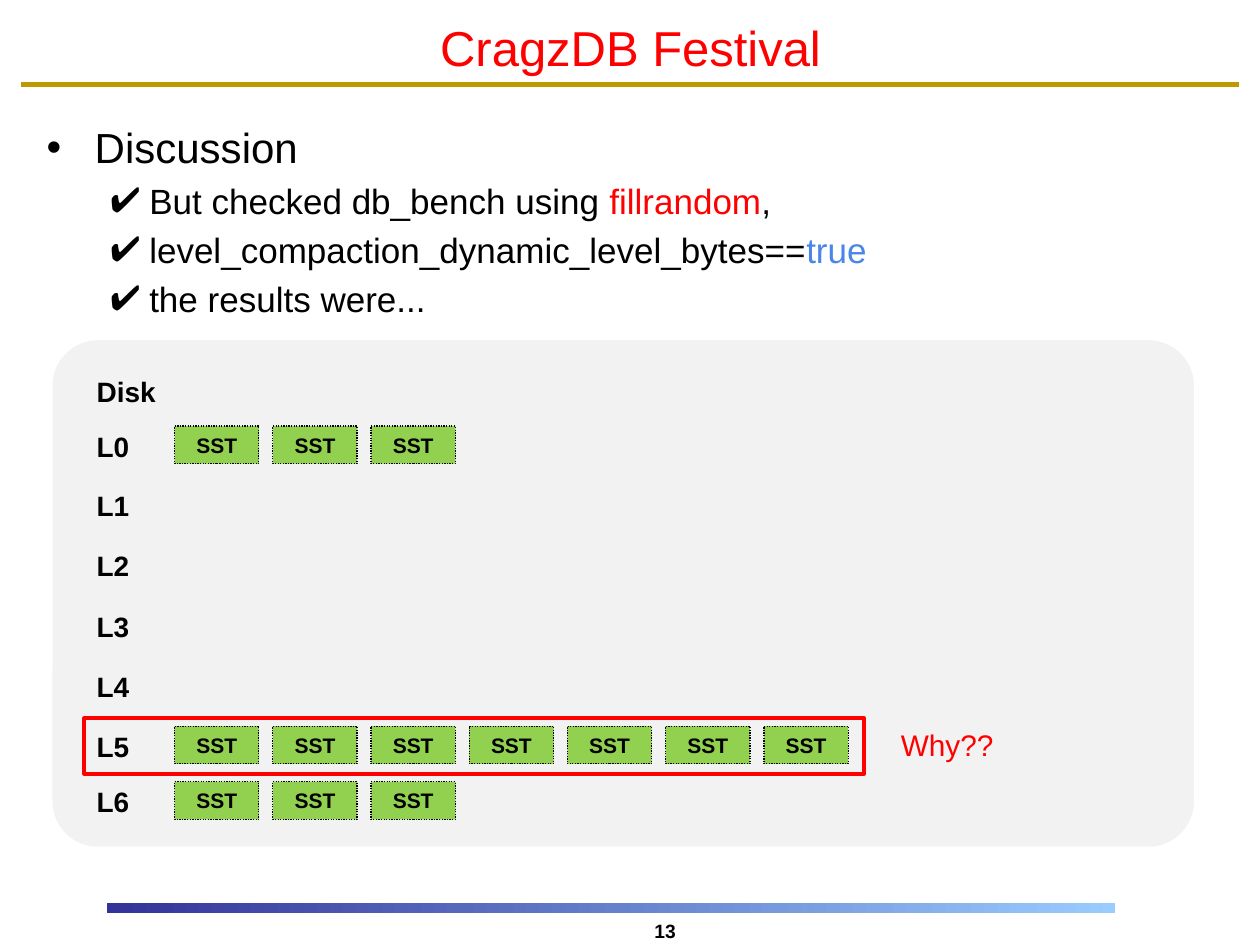
from lxml import etree
from pptx import Presentation, util as u
from pptx.dml.color import RGBColor
from pptx.enum import dml, shapes, text
from pptx.oxml.ns import qn

BLACK, RED, BLUE = "000000", "FF0000", "4A86E8"
GREEN, GREY, GOLD = "92D050", "F2F2F2", "BE9A00"


def rgb(value):
    return RGBColor.from_string(value)


def add_run(p, content, size=16, color=BLACK, bold=False, font="Arial"):
    r = p.add_run()
    r.text = content
    r.font.name, r.font.size, r.font.bold = font, u.Pt(size), bold
    r.font.color.rgb = rgb(color)
    return r


def set_bullet(p, char, margin, indent):
    pPr = p._p.get_or_add_pPr()
    pPr.set("marL", str(u.Cm(margin)))
    pPr.set("indent", str(u.Cm(-indent)))
    color = etree.SubElement(pPr, qn("a:buClr"))
    etree.SubElement(color, qn("a:srgbClr"), val=BLACK)
    etree.SubElement(pPr, qn("a:buFont"), typeface="Arial")
    etree.SubElement(pPr, qn("a:buChar"), char=char)


class SlideBuilder:
    def __init__(self, slide):
        self.s = slide

    def title(self, content, box):
        sp = self.s.shapes.title
        sp.left, sp.top, sp.width, sp.height = map(u.Cm, box)
        tf = sp.text_frame
        tf.auto_size = text.MSO_AUTO_SIZE.NONE
        tf.vertical_anchor = text.MSO_ANCHOR.MIDDLE
        p = tf.paragraphs[0]
        p.alignment = text.PP_ALIGN.CENTER
        add_run(p, content, size=28, color=RED)

    def text_frame(self, box):
        tf = self.s.shapes.add_textbox(*map(u.Cm, box)).text_frame
        tf.word_wrap = True
        return tf

    def label(self, content, box, align=text.PP_ALIGN.LEFT,
              anchor=text.MSO_ANCHOR.TOP, **style):
        tf = self.text_frame(box)
        tf.vertical_anchor = anchor
        p = tf.paragraphs[0]
        p.alignment = align
        add_run(p, content, **style)

    def bullets(self, items, box):
        """Each item is a level and a list of (text, colour) runs."""
        tf = self.text_frame(box)
        for i, (level, runs) in enumerate(items):
            p = tf.add_paragraph() if i else tf.paragraphs[0]
            p.level = level
            p.space_before = u.Pt(4 if level else 3)
            if level:
                set_bullet(p, "✔", 2.07, 0.79)
            else:
                set_bullet(p, "•", 0.97, 0.97)
            for content, color in runs:
                add_run(p, content, size=20 if level else 24, color=color)

    def shape(self, box, kind=shapes.MSO_SHAPE.RECTANGLE, fill=None,
              line=None, width=0.75, dash=None):
        sp = self.s.shapes.add_shape(kind, *map(u.Cm, box))
        sp.shadow.inherit = False
        if fill:
            sp.fill.solid()
            sp.fill.fore_color.rgb = rgb(fill)
        else:
            sp.fill.background()
        if line:
            sp.line.color.rgb = rgb(line)
            sp.line.width = u.Pt(width)
            if dash:
                sp.line.dash_style = dash
        else:
            sp.line.fill.background()
        return sp

    def gradient_bar(self, box, colors):
        sp = self.shape(box)
        sp.fill.gradient()
        sp.fill.gradient_angle = 0
        for stop, color in zip(sp.fill.gradient_stops, colors):
            stop.color.rgb = rgb(color)

    def sst(self, left, top):
        sp = self.shape((left, top, 1.7, 0.76), fill=GREEN, line=BLACK,
                        dash=dml.MSO_LINE.ROUND_DOT)
        tf = sp.text_frame
        tf.word_wrap = False
        tf.vertical_anchor = text.MSO_ANCHOR.MIDDLE
        p = tf.paragraphs[0]
        p.alignment = text.PP_ALIGN.CENTER
        add_run(p, "SST", size=12, bold=True)

    def rule(self, x1, x2, y, color, width):
        line = self.s.shapes.add_connector(
            shapes.MSO_CONNECTOR.STRAIGHT, *map(u.Cm, (x1, y, x2, y)))
        line.line.color.rgb = rgb(color)
        line.line.width = u.Pt(width)
        etree.SubElement(line._element.spPr, qn("a:effectLst"))


def main():
    prs = Presentation()
    prs.slide_width, prs.slide_height = u.Cm(25.4), u.Cm(19.05)
    b = SlideBuilder(prs.slides.add_slide(prs.slide_layouts[5]))

    # Frame of the page
    b.rule(0.43, 24.97, 1.7, GOLD, 3)
    b.gradient_bar((2.16, 18.21, 20.32, 0.2), ("333399", "99CCFF"))
    b.title("CragzDB Festival", (0.43, 0.2, 24.56, 1.48))
    b.label("13", (10.69, 18.4, 5.44, 0.64), size=11, bold=True,
            align=text.PP_ALIGN.CENTER)

    # Discussion points
    b.bullets([
        (0, [("Discussion", BLACK)]),
        (1, [("But checked db_bench using ", BLACK),
             ("fillrandom", RED), (",", BLACK)]),
        (1, [("level_compaction_dynamic_level_bytes==", BLACK),
             ("true", BLUE)]),
        (1, [("the results were...", BLACK)]),
    ], (0.69, 2.33, 24, 15.24))

    # Disk panel: label top and number of SST files for each level
    panel = b.shape((1.06, 6.86, 23.01, 10.21),
                    shapes.MSO_SHAPE.ROUNDED_RECTANGLE, fill=GREY)
    panel.adjustments[0] = 0.09
    b.label("Disk", (1.7, 7.42, 1.8, 0.94), bold=True)
    levels = [(8.53, 3), (9.73, 0), (10.93, 0), (12.17, 0),
              (13.38, 0), (14.58, 7), (15.7, 3)]
    for n, (top, files) in enumerate(levels):
        b.label(f"L{n}", (1.7, top, 1.3, 0.94), bold=True)
        for i in range(files):
            b.sst(3.52 + i * 1.98, top + 0.06)

    # Highlighted level
    b.shape((1.7, 14.48, 15.72, 1.12), line=RED, width=2.25)
    b.label("Why??", (17.91, 14.4, 3.56, 1.24), size=17, color=RED,
            anchor=text.MSO_ANCHOR.MIDDLE)

    prs.save("out.pptx")


if __name__ == "__main__":
    main()
